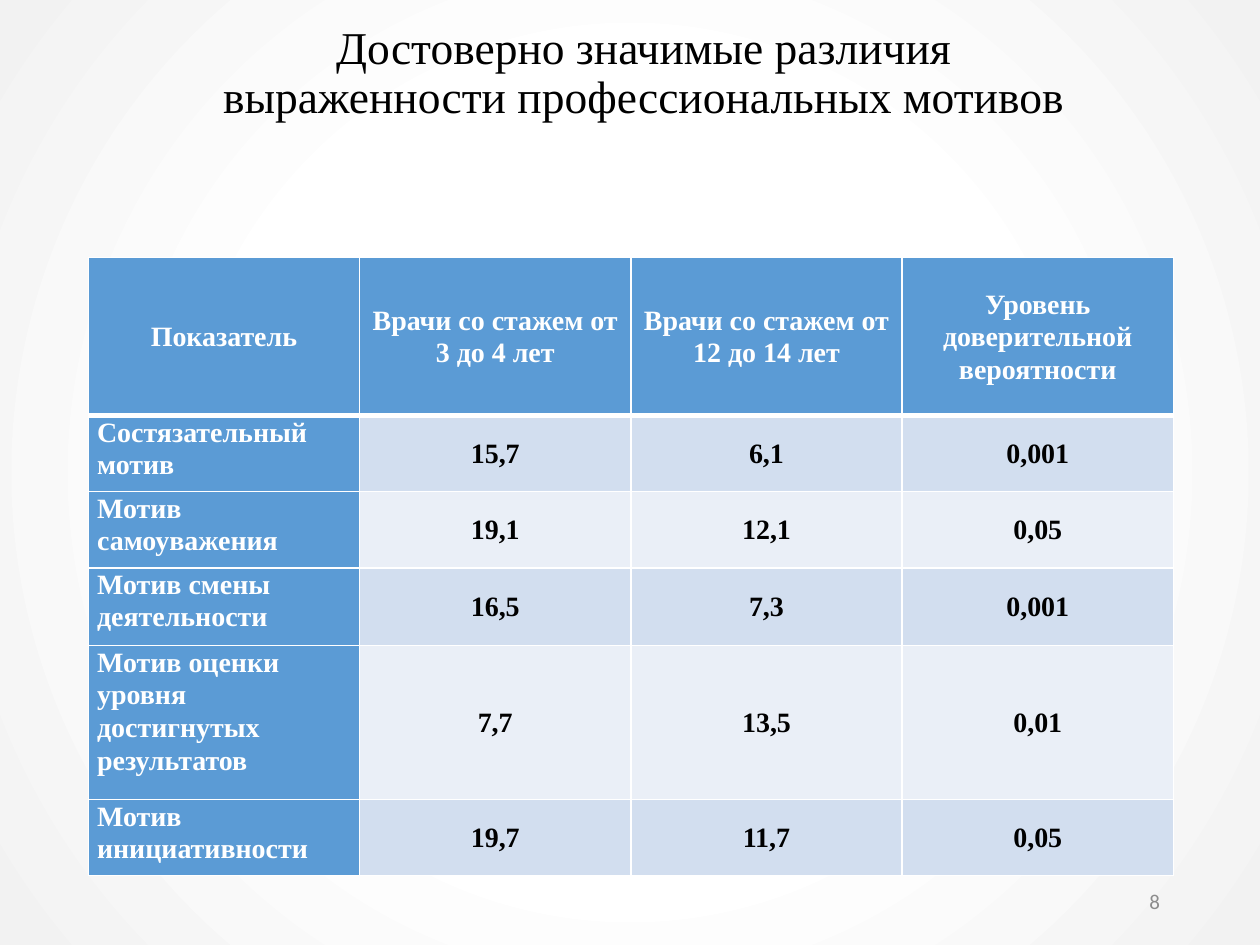
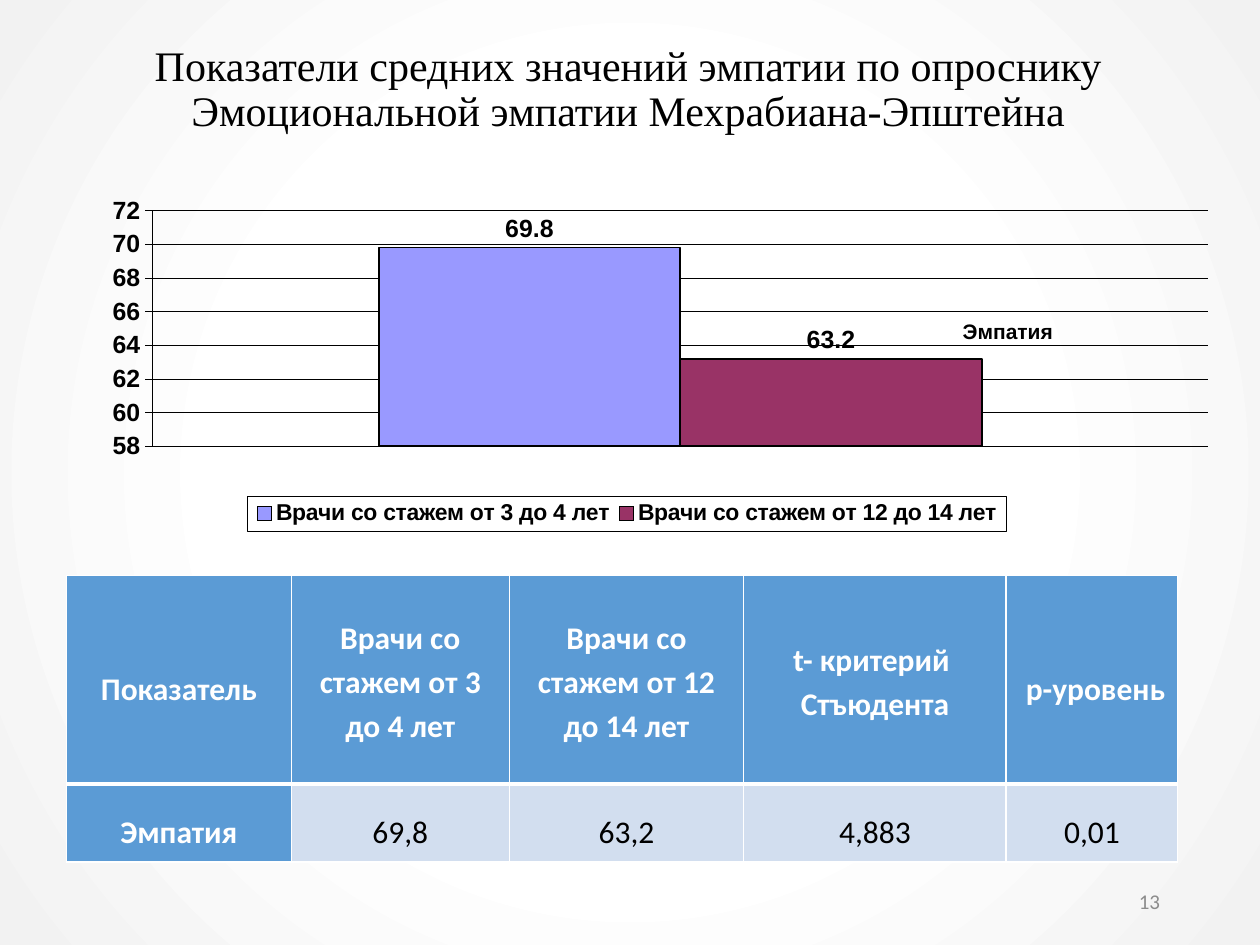
import pptx
import pptx.chart.data
import pptx.dml.color
import pptx.enum.chart
import pptx.enum.text
import pptx.oxml
import pptx.oxml.ns
import pptx.util

Pt = pptx.util.Pt
RGBColor = pptx.dml.color.RGBColor
Align = pptx.enum.text.PP_ALIGN
Anchor = pptx.enum.text.MSO_ANCHOR
qn = pptx.oxml.ns.qn

# Content
EARLY = "Врачи со стажем от 3 до 4 лет"
LATE = "Врачи со стажем от 12 до 14 лет"

MOTIVES_TITLE = ["Достоверно значимые различия", "выраженности профессиональных мотивов"]
MOTIVES_ROWS = [
    ["Показатель", EARLY, LATE, "Уровень доверительной вероятности"],
    ["Состязательный мотив", "15,7", "6,1", "0,001"],
    ["Мотив самоуважения", "19,1", "12,1", "0,05"],
    ["Мотив смены деятельности", "16,5", "7,3", "0,001"],
    ["Мотив оценки уровня достигнутых результатов", "7,7", "13,5", "0,01"],
    ["Мотив инициативности", "19,7", "11,7", "0,05"],
]

EMPATHY_TITLE = ["Показатели средних значений эмпатии по опроснику",
                 "Эмоциональной эмпатии Мехрабиана-Эпштейна"]
EMPATHY_ROWS = [
    ["Показатель", EARLY, LATE, "t- критерий  Стъюдента", " p-уровень"],
    ["Эмпатия", "69,8", "63,2", "4,883", "0,01"],
]

# Shared style
WHITE = RGBColor(0xFF, 0xFF, 0xFF)
BLACK = RGBColor(0, 0, 0)
GREY = RGBColor(0x8C, 0x8C, 0x8C)
HEADER_BLUE = RGBColor(0x5B, 0x9B, 0xD5)
BANDS = [RGBColor(0xD2, 0xDE, 0xEF), RGBColor(0xEA, 0xEF, 0xF7)]
PERIWINKLE = RGBColor(0x99, 0x99, 0xFF)
PLUM = RGBColor(0x99, 0x33, 0x66)
SERIF, SANS, CHART_FONT = "Times New Roman", "Calibri", "Arial"

EMPATHY_SERIES = [(EARLY, 69.8, PERIWINKLE), (LATE, 63.2, PLUM)]

BACKGROUND_STOPS = [(0, WHITE), (50, WHITE), (100, RGBColor(0xF2, 0xF2, 0xF2))]


def set_background(master):
    """Give every slide a soft radial gradient, white in the middle."""
    fill = master.background.fill
    fill.gradient()
    properties = master.background._cSld.bg.bgPr
    stops = "".join(f'<a:gs pos="{percent * 1000}"><a:srgbClr val="{color}"/></a:gs>'
                    for percent, color in BACKGROUND_STOPS)
    gradient = pptx.oxml.parse_xml(
        f'<a:gradFill {pptx.oxml.ns.nsdecls("a")} rotWithShape="1"><a:gsLst>{stops}</a:gsLst>'
        '<a:path path="circle"><a:fillToRect l="50000" t="50000" r="50000" b="50000"/></a:path>'
        '</a:gradFill>')
    properties.replace(properties.find(qn("a:gradFill")), gradient)


def style_font(font, name, size, color, bold=False):
    font.name, font.size, font.bold = name, Pt(size), bold
    font.color.rgb = color


def add_text(slide, box, lines, font_style, align, line_spacing=1.0):
    frame = slide.shapes.add_textbox(*map(Pt, box)).text_frame
    frame.word_wrap = True
    frame.vertical_anchor = Anchor.MIDDLE
    paragraph = frame.paragraphs[0]
    paragraph.alignment = align
    paragraph.line_spacing = line_spacing
    for index, line in enumerate(lines):
        if index:
            paragraph.add_line_break()
        run = paragraph.add_run()
        run.text = line
        style_font(run.font, *font_style)
    return frame


def add_title(slide, box, lines, size):
    return add_text(slide, box, lines, (SERIF, size, BLACK), Align.CENTER, 0.9)


def add_slide_number(slide, number):
    add_text(slide, (508, 500.5, 162, 28.75), [str(number)], (SANS, 12, GREY), Align.RIGHT)


def set_borders(cell, widths):
    properties = cell._tc.get_or_add_tcPr()
    for position, (side, width) in enumerate(widths.items()):
        properties.insert(position, pptx.oxml.parse_xml(
            f'<a:ln{side} {pptx.oxml.ns.nsdecls("a")} w="{Pt(width)}">'
            f'<a:solidFill><a:srgbClr val="{WHITE}"/></a:solidFill></a:ln{side}>'))


def add_data_table(slide, corner, widths, heights, rows, font, size,
                   bold_values, label_align, label_anchor, spacing):
    """Draw a table with a blue header row and label column; spacing(row, column) sets the leading."""
    table = slide.shapes.add_table(len(rows), len(widths), *map(Pt, corner),
                                   Pt(sum(widths)), Pt(sum(heights))).table
    for column, width in zip(table.columns, widths):
        column.width = Pt(width)
    for row, height in zip(table.rows, heights):
        row.height = Pt(height)
    for r, texts in enumerate(rows):
        for c, text in enumerate(texts):
            cell = table.cell(r, c)
            is_value = r > 0 and c > 0
            is_label = r > 0 and c == 0
            cell.margin_left = cell.margin_right = Pt(5)
            cell.margin_top = cell.margin_bottom = 0
            cell.vertical_anchor = label_anchor if is_label else Anchor.MIDDLE
            cell.fill.solid()
            cell.fill.fore_color.rgb = BANDS[(r - 1) % 2] if is_value else HEADER_BLUE
            set_borders(cell, {"L": 1, "R": 1, "T": 3 if r == 1 else 1, "B": 3 if r == 0 else 1})
            paragraph = cell.text_frame.paragraphs[0]
            paragraph.alignment = label_align if is_label else Align.CENTER
            paragraph.line_spacing = spacing(r, c)
            run = paragraph.add_run()
            run.text = text
            style_font(run.font, font, size, BLACK if is_value else WHITE,
                       bold_values or not is_value)


def set_layout(element, target=None, **fractions):
    """Place a chart part by fractions of the chart's size."""
    layout = element.find(qn("c:layout"))
    if layout is not None:
        element.remove(layout)
    inner = f'<c:layoutTarget val="{target}"/>' if target else ""
    inner += "".join(f'<c:{key}Mode val="edge"/>' for key in ("x", "y"))
    inner += "".join(f'<c:{key} val="{value}"/>' for key, value in fractions.items())
    layout = pptx.oxml.parse_xml(f'<c:layout {pptx.oxml.ns.nsdecls("c")}>'
                                 f'<c:manualLayout>{inner}</c:manualLayout></c:layout>')
    overlay = element.find(qn("c:overlay"))
    if overlay is None:
        element.insert(0, layout)
    else:
        overlay.addprevious(layout)


def outline(line, width):
    line.color.rgb = BLACK
    line.width = Pt(width)


def add_empathy_chart(slide):
    data = pptx.chart.data.CategoryChartData()
    data.categories = ["1"]
    for name, value, _ in EMPATHY_SERIES:
        data.add_series(name, [value])
    chart = slide.shapes.add_chart(pptx.enum.chart.XL_CHART_TYPE.COLUMN_CLUSTERED,
                                   *map(Pt, (19.5, 106.5, 677.5, 198)), data).chart
    style_font(chart.font, CHART_FONT, 14.2, BLACK, True)
    set_layout(chart._chartSpace.chart.plotArea, "inner", x=0.1, y=0.07, w=0.89, h=0.68)

    chart.has_title = True
    title_run = chart.chart_title.text_frame.paragraphs[0].add_run()
    title_run.text = "Эмпатия"
    style_font(title_run.font, CHART_FONT, 12, BLACK, True)
    chart.chart_title.include_in_layout = True
    set_layout(chart.chart_title._element if hasattr(chart.chart_title, "_element")
               else chart._chartSpace.chart.find(qn("c:title")), x=0.78, y=0.37)

    plot = chart.plots[0]
    plot.gap_width, plot.overlap, plot.vary_by_categories = 150, 0, False
    for series, (_, _, color) in zip(plot.series, EMPATHY_SERIES):
        series.format.fill.solid()
        series.format.fill.fore_color.rgb = color
        outline(series.format.line, 1)
        labels = series.data_labels
        labels.show_value = True
        labels.position = pptx.enum.chart.XL_LABEL_POSITION.OUTSIDE_END
        style_font(labels.font, CHART_FONT, 14.2, BLACK, True)

    chart.category_axis.visible = False
    axis = chart.value_axis
    axis.minimum_scale, axis.maximum_scale, axis.major_unit = 58, 72, 2
    axis.major_tick_mark = pptx.enum.chart.XL_TICK_MARK.OUTSIDE
    style_font(axis.tick_labels.font, CHART_FONT, 14.2, BLACK, True)
    outline(axis.format.line, 0.25)
    outline(axis.major_gridlines.format.line, 0.25)

    chart.has_legend = True
    legend = chart.legend
    legend.position = pptx.enum.chart.XL_LEGEND_POSITION.BOTTOM
    legend.include_in_layout = False
    style_font(legend.font, CHART_FONT, 13.1, BLACK, True)
    set_layout(legend._element, x=0.18, y=0.9, w=0.64, h=0.1)
    legend._element.find(qn("c:overlay")).addnext(pptx.oxml.parse_xml(
        f'<c:spPr {pptx.oxml.ns.nsdecls("c", "a")}><a:solidFill><a:srgbClr val="{WHITE}"/></a:solidFill>'
        f'<a:ln w="{Pt(0.25)}"><a:solidFill><a:srgbClr val="{BLACK}"/></a:solidFill></a:ln></c:spPr>'))


def build_motives_slide(slide):
    title = add_title(slide, (50.5, 28, 635, 65.5), MOTIVES_TITLE, 26)
    title.margin_top, title.margin_bottom = 0, Pt(37)  # lifts the title above the box centre
    add_data_table(slide, (50.5, 147), [155] * 4, [90.5, 43.5, 43.5, 44.5, 88, 43.5],
                   MOTIVES_ROWS, SERIF, 16, True, Align.LEFT, Anchor.TOP,
                   lambda row, column: 1.05)
    add_slide_number(slide, 8)


def build_empathy_slide(slide):
    add_title(slide, (16.5, 12.25, 685, 78.5), EMPATHY_TITLE, 24)
    add_slide_number(slide, 13)
    add_empathy_chart(slide)
    add_data_table(slide, (38, 329), [128.5, 124.5, 134, 150, 98], [119, 44.5],
                   EMPATHY_ROWS, SANS, 18, False, Align.CENTER, Anchor.MIDDLE,
                   lambda row, column: 1.15 if row == 0 and column in (1, 2, 3) else 1.5)


def main():
    presentation = pptx.Presentation()
    presentation.slide_width, presentation.slide_height = Pt(720), Pt(540)
    set_background(presentation.slide_master)
    for build in (build_motives_slide, build_empathy_slide):
        build(presentation.slides.add_slide(presentation.slide_layouts[6]))
    presentation.save("out.pptx")


if __name__ == "__main__":
    main()
